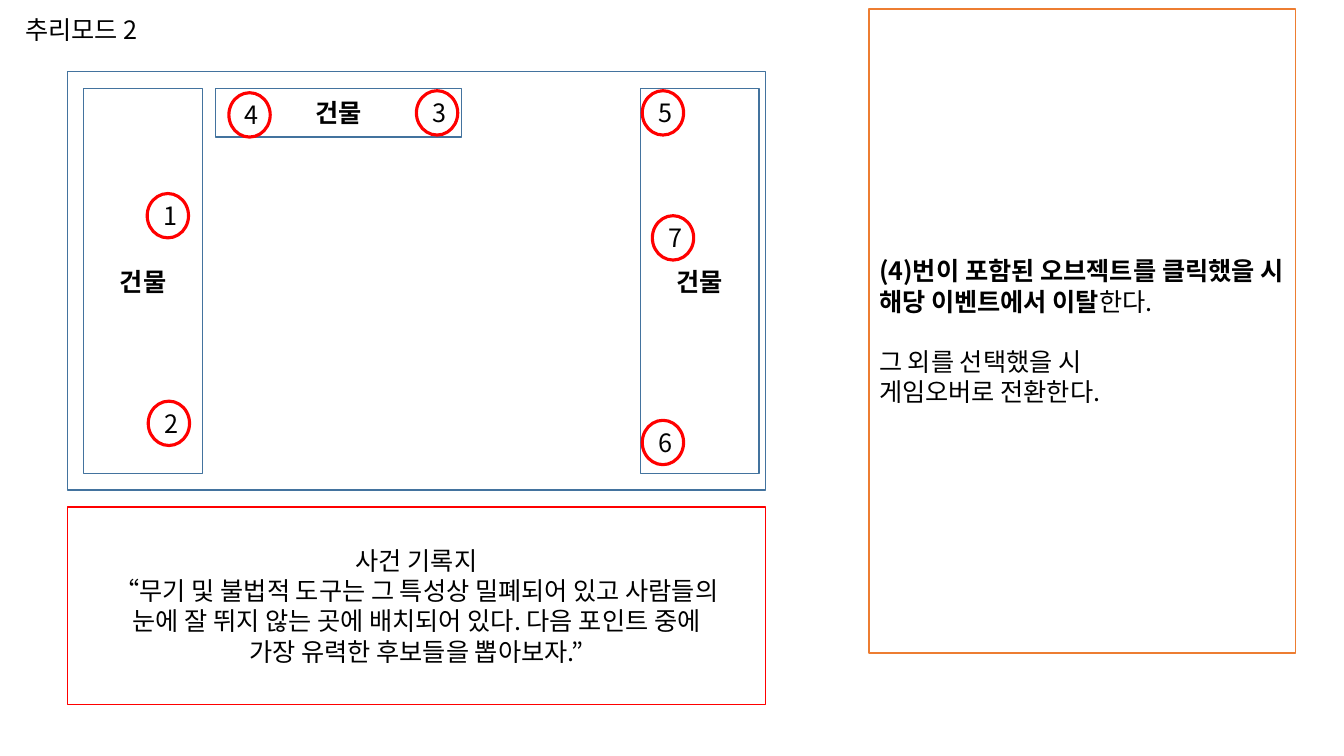
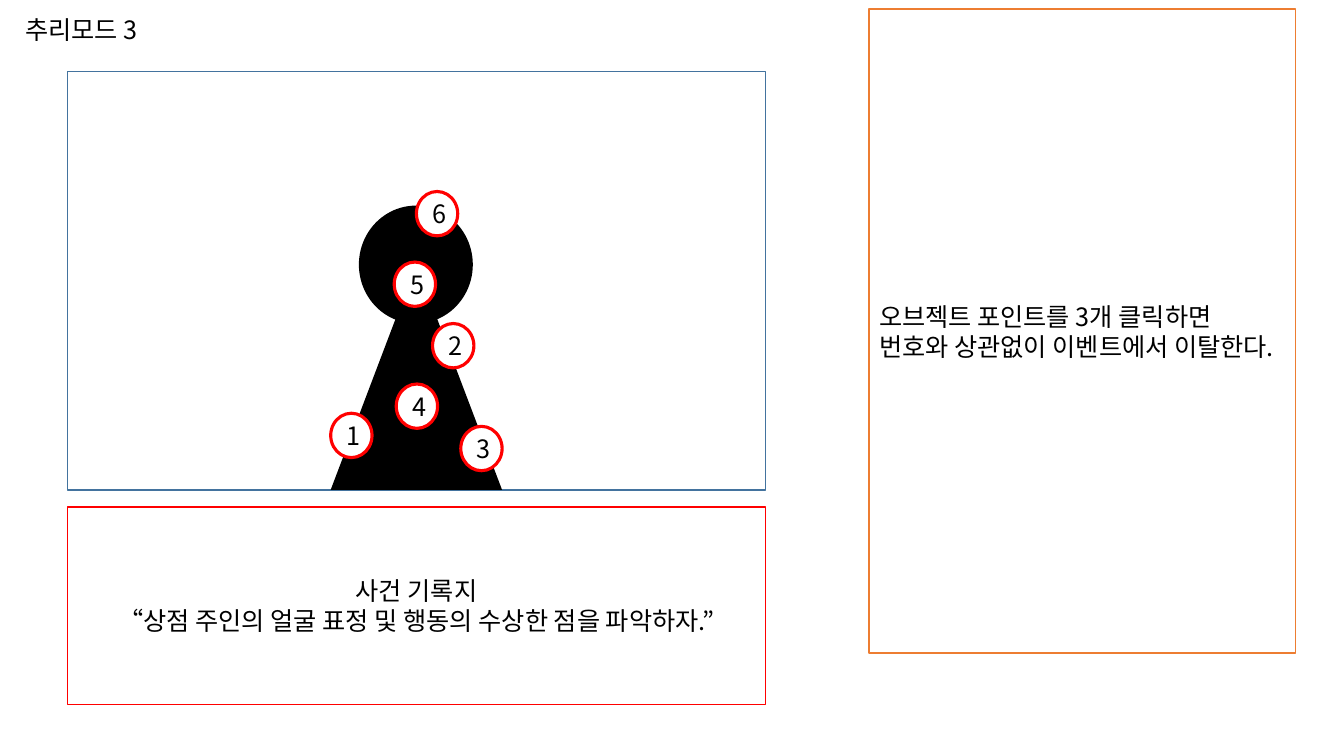
from pptx import Presentation
from pptx.dml.color import RGBColor
from pptx.enum.shapes import MSO_SHAPE
from pptx.enum.text import MSO_ANCHOR, MSO_AUTO_SIZE, PP_ALIGN
from pptx.oxml.ns import qn
from pptx.util import Inches, Pt
from lxml.etree import SubElement

# Content: paragraphs are lists of (text, bold) runs; a gap precedes some paragraphs
BUILDING = [[("건물", True)]]
RECORD_HEADING = [("사건 기록지", False)]
SCENES = [
    {
        "title": "추리모드 2",
        "rule": [
            [("(4)번이 포함된 오브젝트를 클릭했을 시 해당 이벤트에서 이탈", True), ("한다.", False)],
            [("그 외를 선택했을 시", False)],
            [("게임오버로 전환한다.", False)],
        ],
        "gap_before": 1,
        "record": [
            RECORD_HEADING,
            [("“무기 및 불법적 도구는 그 특성상 밀폐되어 있고 사람들의", False)],
            [("눈에 잘 뛰지 않는 곳에 배치되어 있다. 다음 포인트 중에", False)],
            [("가장 유력한 후보들을 뽑아보자.”", False)],
        ],
        "buildings": [(0.83, 0.88, 1.18, 3.82), (6.35, 0.88, 1.18, 3.82), (2.14, 0.88, 2.44, 0.48)],
        "person": [],
        "points": [(1.46, 1.92), (1.47, 3.98), (4.13, 0.9), (2.27, 0.92),
                   (6.37, 0.9), (6.37, 4.17), (6.47, 2.14)],
    },
    {
        "title": "추리모드 3",
        "rule": [
            [("오브젝트 포인트를 3개 클릭하면", False)],
            [("번호와 상관없이 이벤트에서 이탈한다.", False)],
        ],
        "gap_before": None,
        "record": [
            RECORD_HEADING,
            [("“상점 주인의 얼굴 표정 및 행동의 수상한 점을 파악하자.”", False)],
        ],
        "buildings": [],
        "person": [(MSO_SHAPE.OVAL, (3.56, 2.04, 1.13, 1.17)),
                   (MSO_SHAPE.ISOSCELES_TRIANGLE, (3.28, 2.62, 1.7, 2.24))],
        "points": [(3.28, 4.1), (4.29, 3.21), (4.57, 4.23), (3.93, 3.81), (3.91, 2.6), (4.13, 1.9)],
    },
]

# Shared style
FONT, SIZE, LINE_GAP = "Noto Sans CJK KR", Pt(18), Pt(21.6)
BLACK, WHITE, BLUE, ORANGE, RED = "000000", "FFFFFF", "43739E", "ED7D31", "FF0000"
TITLE_BOX = (0.15, 0.09, 3.23, 0.4)
SCENE_BOX = (0.67, 0.71, 6.92, 4.15)
RECORD_BOX = (0.67, 5.03, 6.92, 1.96)
RULE_BOX = (8.62, 0.09, 4.23, 6.39)
POINT_SIZE = (0.41, 0.44)


def color(value):
    return RGBColor.from_string(value)


def write(frame, paragraphs, align, gap_before=None):
    frame.word_wrap = True
    for index, runs in enumerate(paragraphs):
        paragraph = frame.paragraphs[0] if index == 0 else frame.add_paragraph()
        paragraph.alignment = align
        paragraph.space_before = LINE_GAP if index == gap_before else Pt(0)
        for text, bold in runs:
            run = paragraph.add_run()
            run.text = text
            run.font.name, run.font.size, run.font.bold = FONT, SIZE, bold
            run.font.color.rgb = color(BLACK)
            # Korean glyphs take the East Asian typeface
            SubElement(run.font._element, qn("a:ea")).set("typeface", FONT)


def add_shape(slide, kind, box, line=None, width=1, fill=WHITE,
              paragraphs=(), align=PP_ALIGN.CENTER, gap_before=None):
    shape = slide.shapes.add_shape(kind, *map(Inches, box))
    shape.shadow.inherit = False
    shape.fill.solid()
    shape.fill.fore_color.rgb = color(fill)
    if line:
        shape.line.color.rgb = color(line)
        shape.line.width = Pt(width)
    else:
        shape.line.fill.background()
    shape.text_frame.vertical_anchor = MSO_ANCHOR.MIDDLE
    write(shape.text_frame, paragraphs, align, gap_before)


def add_title(slide, text):
    title = slide.shapes.title
    title.left, title.top, title.width, title.height = map(Inches, TITLE_BOX)
    title.text_frame.vertical_anchor = MSO_ANCHOR.TOP
    title.text_frame.auto_size = MSO_AUTO_SIZE.SHAPE_TO_FIT_TEXT
    write(title.text_frame, [[(text, False)]], PP_ALIGN.LEFT)


def build_scene(slide, scene):
    add_title(slide, scene["title"])
    # Panels
    add_shape(slide, MSO_SHAPE.RECTANGLE, SCENE_BOX, BLUE)
    add_shape(slide, MSO_SHAPE.RECTANGLE, RULE_BOX, ORANGE, paragraphs=scene["rule"],
              align=PP_ALIGN.LEFT, gap_before=scene["gap_before"])
    add_shape(slide, MSO_SHAPE.RECTANGLE, RECORD_BOX, RED, paragraphs=scene["record"])
    # Scenery
    for box in scene["buildings"]:
        add_shape(slide, MSO_SHAPE.RECTANGLE, box, BLUE, paragraphs=BUILDING)
    for kind, box in scene["person"]:
        add_shape(slide, kind, box, fill=BLACK)
    # Numbered click points
    for number, position in enumerate(scene["points"], 1):
        add_shape(slide, MSO_SHAPE.OVAL, position + POINT_SIZE, RED, 2.25,
                  paragraphs=[[(str(number), False)]])


presentation = Presentation()
presentation.slide_width, presentation.slide_height = Inches(13.33), Inches(7.5)
title_only = presentation.slide_layouts[5]
for scene in SCENES:
    build_scene(presentation.slides.add_slide(title_only), scene)
presentation.save("out.pptx")
